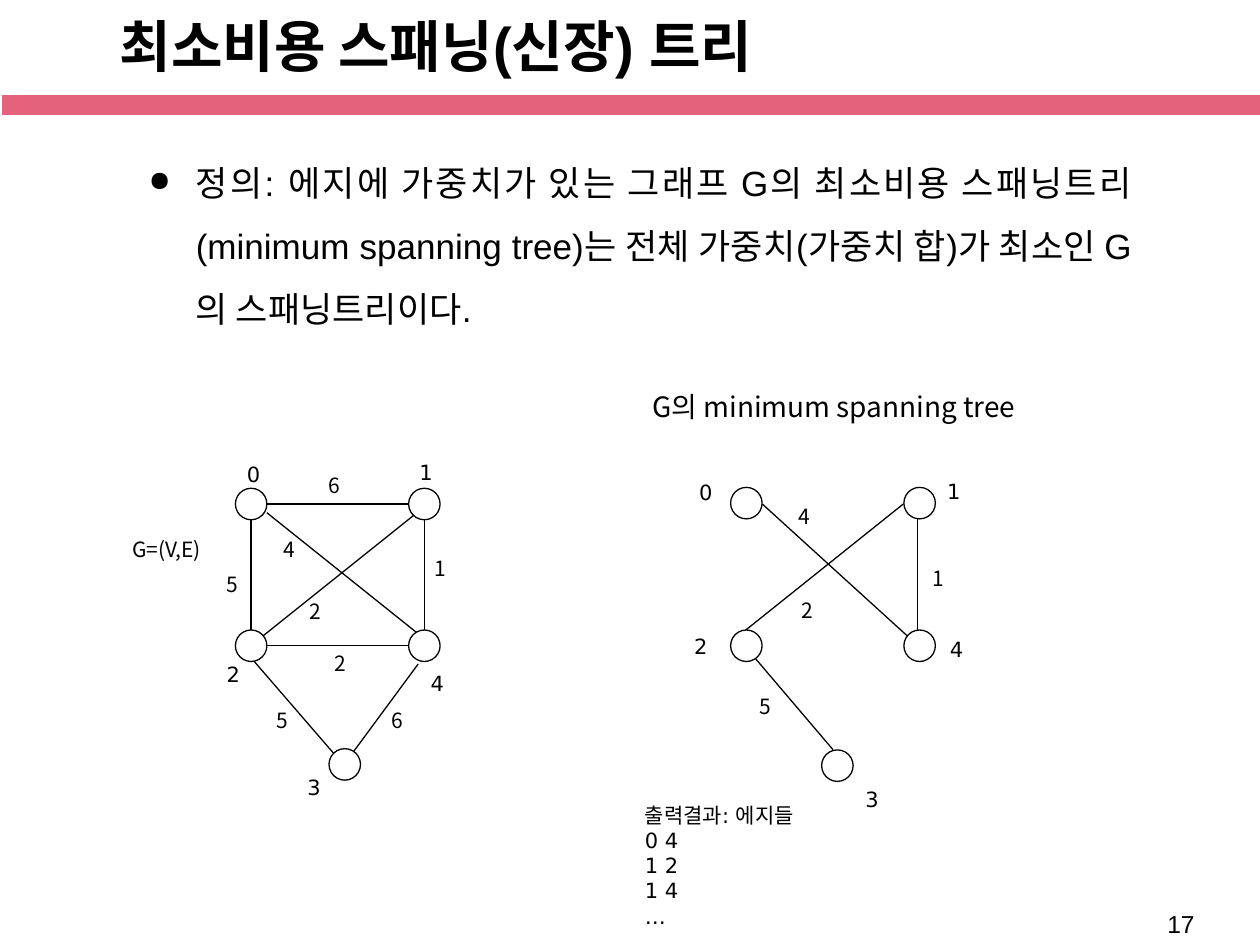
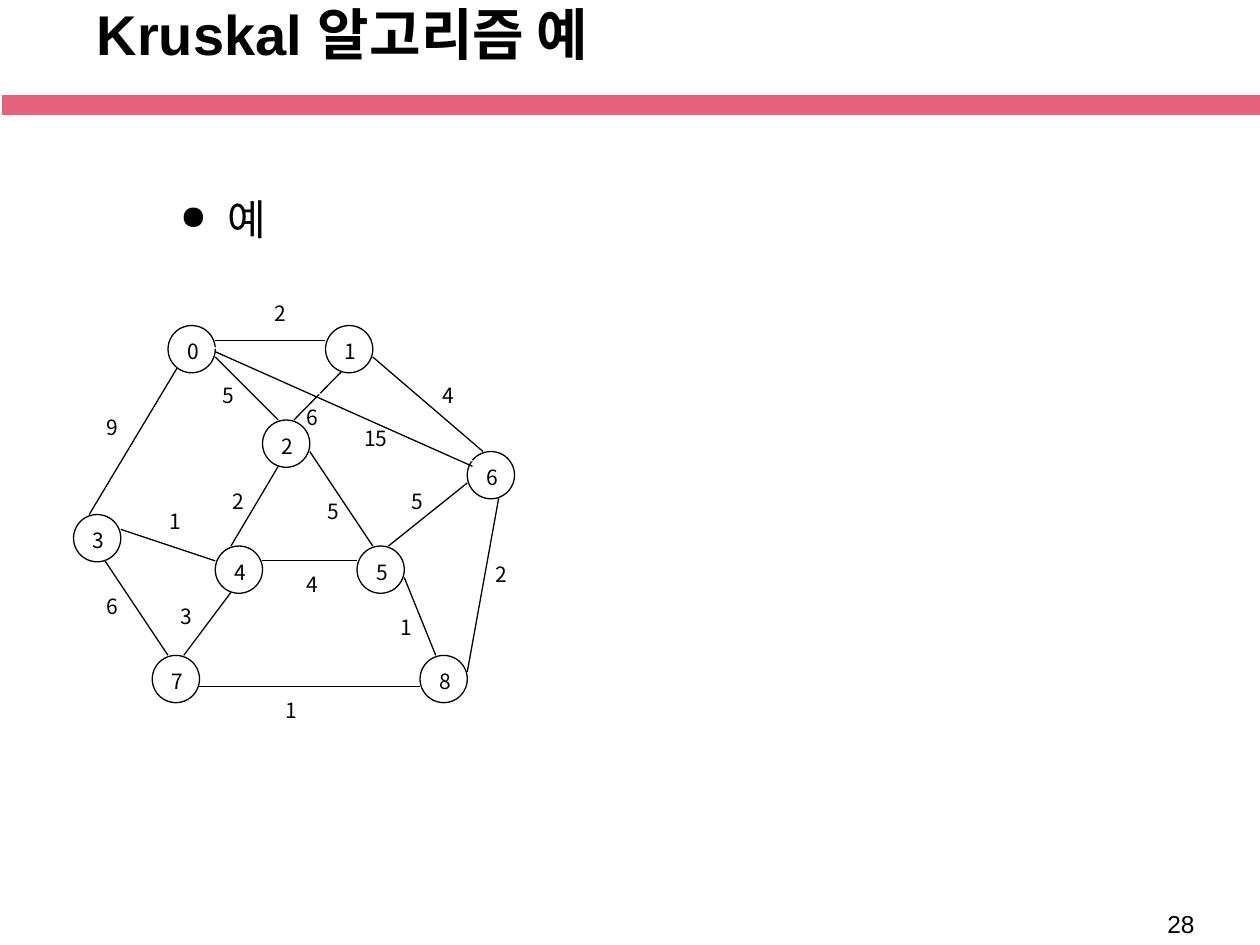
import pptx
import pptx.util
import pptx.dml.color
import pptx.enum.shapes
import pptx.enum.text
import pptx.oxml
import pptx.oxml.ns

Pt = pptx.util.Pt
KINDS = pptx.enum.shapes.MSO_SHAPE
ALIGN = pptx.enum.text.PP_ALIGN
ANCHOR = pptx.enum.text.MSO_ANCHOR

COLORS = {"band": "E4627B", "ink": "000000", "paper": "FFFFFF"}
HANGUL = "Noto Sans CJK KR"
DIGITS = "DejaVu Sans"

# Edges: x1, y1, x2, y2, weight, weight left, weight top
GRAPH = [
    (152.5, 288, 233.5, 288, "6", 180.7, 266.4),
    (143.5, 297, 143.5, 360, "5", 122.4, 323.3),
    (152.5, 369, 233.5, 369, "2", 184.3, 368),
    (242.5, 297, 242.5, 360, "1", 241.2, 314),
    (238.3, 293, 148.3, 365, "2", 170, 338.4),
    (152.5, 293, 242.5, 365, "4", 154.8, 303),
    (144, 376.5, 193.7, 434, "5", 151.2, 401),
    (239, 379.4, 196.5, 437, "6", 216.7, 401),
]
TREE = [
    (435.6, 288, 524.2, 368.6, "4", 449.3, 284.4),
    (524.2, 295.2, 524.2, 368.6, "1", 525.6, 319.7),
    (516.2, 288, 426.2, 360, "2", 450.7, 337.7),
    (427, 370.8, 476, 428.4, "5", 427, 393),
]
KRUSKAL = [
    (123, 194.5, 186, 194.5, "2", 150, 168),
    (105, 204, 51, 294, "9", 54, 233.3),
    (69, 302.5, 123, 320.5, "1", 90, 287.3),
    (159, 266.5, 132, 312, "2", 126, 275.8),
    (177, 258, 213, 312, "5", 180, 281.5),
    (123, 204, 159, 240, "5", 120, 215.3),
    (195, 212.5, 168, 240, "6", 168, 227.5),
    (267, 276, 222, 312, "5", 228, 275.8),
    (213, 204, 276, 258, "4", 246, 215.3),
    (60, 320.5, 96, 374.5, "6", 54, 335.5),
    (132, 338.5, 105, 374.5, "3", 96, 341.3),
    (114, 392.5, 240, 392.5, "1", 156, 395.3),
    (150, 320.5, 204, 320.5, "4", 168, 323.3),
    (231, 330, 249, 374.5, "1", 222, 347.8),
    (285, 284.5, 267, 384, "2", 276, 317.5),
]

# Nodes: name, left, top, then the left and top of a name set outside
GRAPH_NODES = [
    ("0", 134.5, 279, 134, 260),
    ("1", 233.5, 279, 232.6, 259.2),
    ("2", 134.5, 360, 122.4, 374.4),
    ("3", 188, 427.8, 168.5, 439.2),
    ("4", 233.5, 360, 239, 379.4),
]
TREE_NODES = [
    ("0", 417.5, 278.5, 392.4, 270.7),
    ("1", 516.5, 278.5, 534.2, 270),
    ("2", 417.5, 360, 389.5, 358.6),
    ("3", 469.5, 428.5, 487.4, 445.7),
    ("4", 516.5, 360, 535.7, 360),
]
KRUSKAL_NODES = [
    ("0", 96, 186), ("1", 186, 186), ("2", 150, 240),
    ("3", 42, 294), ("4", 123, 312), ("5", 204, 312),
    ("6", 267, 258), ("7", 87, 374.5), ("8", 240, 374.5),
]


def rgb(name):
    """Return the named colour."""
    return pptx.dml.color.RGBColor.from_string(COLORS[name])


def bullet(para):
    """Give a paragraph a hanging round bullet."""
    props = para._p.get_or_add_pPr()
    props.set("marL", str(Pt(27)))
    props.set("indent", str(Pt(-27)))
    space = pptx.oxml.ns.nsdecls("a")
    for xml in (
        f'<a:buClr {space}><a:srgbClr val="{COLORS["ink"]}"/></a:buClr>',
        f'<a:buSzPct {space} val="80000"/>',
        f'<a:buChar {space} char="●"/>',
    ):
        props.append(pptx.oxml.parse_xml(xml))


def write(shape, text, size=12, font=HANGUL, bold=False, align=ALIGN.LEFT,
          anchor=ANCHOR.TOP, wrap=True, dot=False, lead=None):
    """Fill a shape with formatted text, one paragraph a line."""
    frame = shape.text_frame
    frame.word_wrap = wrap
    frame.vertical_anchor = anchor
    frame.text = text
    for para in frame.paragraphs:
        if dot:
            bullet(para)
        para.alignment = align
        if lead:
            para.line_spacing = lead
        for run in para.runs:
            run.font.size = Pt(size)
            run.font.name = font
            run.font.bold = bold
            run.font.color.rgb = rgb("ink")
            props = run.font._element
            east = props.makeelement(pptx.oxml.ns.qn("a:ea"), {"typeface": HANGUL})
            props.find(pptx.oxml.ns.qn("a:latin")).addnext(east)


def label(slide, text, left, top, width=21.6, height=21.6, **form):
    """Add a text box."""
    box = slide.shapes.add_textbox(Pt(left), Pt(top), Pt(width), Pt(height))
    write(box, text, **form)


def solid(slide, kind, left, top, width, height, fill, edge, weight):
    """Add a filled and outlined shape."""
    shape = slide.shapes.add_shape(kind, Pt(left), Pt(top), Pt(width), Pt(height))
    shape.shadow.inherit = False
    shape.fill.solid()
    shape.fill.fore_color.rgb = rgb(fill)
    shape.line.color.rgb = rgb(edge)
    shape.line.width = Pt(weight)
    return shape


def node(slide, left, top, size):
    """Add a round graph node."""
    return solid(slide, KINDS.OVAL, left, top, size, size, "paper", "ink", 0.75)


def link(slide, x1, y1, x2, y2, color="ink"):
    """Add a straight line."""
    line = slide.shapes.add_connector(
        pptx.enum.shapes.MSO_CONNECTOR.STRAIGHT, Pt(x1), Pt(y1), Pt(x2), Pt(y2))
    line.line.color.rgb = rgb(color)
    line.line.width = Pt(0.75)
    props = line._element.spPr
    props.append(props.makeelement(pptx.oxml.ns.qn("a:effectLst"), {}))


def edges(slide, rows):
    """Draw weighted edges."""
    for x1, y1, x2, y2, weight, left, top in rows:
        link(slide, x1, y1, x2, y2)
        label(slide, weight, left, top, wrap=False)


def graph(slide, rows, nodes):
    """Draw a graph whose node names stand outside."""
    edges(slide, rows)
    for name, left, top, x, y in nodes:
        node(slide, left, top, 18)
        label(slide, name, x, y, 25.2, font=DIGITS)


def page(deck, title, left, top, number):
    """Add a slide with its band, title and page number."""
    slide = deck.slides.add_slide(deck.slide_layouts[6])
    solid(slide, KINDS.RECTANGLE, 0.5, 54, 720, 12, "band", "paper", 1)
    label(slide, number, 660, 516, 41, 24, size=14, font="Arial")
    label(slide, title, left, top, 613.5, 49, size=32, font="Arial",
          bold=True, anchor=ANCHOR.MIDDLE)
    return slide


def define(deck):
    """Build the slide that defines the minimum spanning tree."""
    slide = page(deck, "최소비용 스패닝(신장) 트리", 61.2, 1.4, "17")
    label(slide, "정의: 에지에 가중치가 있는 그래프 G의 최소비용 스패닝트리"
          "(minimum spanning tree)는 전체 가중치(가중치 합)가 "
          "최소인 G의 스패닝트리이다.", 77.8, 77, 576, 124.6, size=20,
          font="Arial", align=ALIGN.JUSTIFY, dot=True, lead=1.5)
    label(slide, "G의 minimum spanning tree", 365.8, 219, 275.8, 26.6, size=16)
    label(slide, "G=(V,E)", 68.4, 303, 59, wrap=False)
    graph(slide, GRAPH, GRAPH_NODES)
    graph(slide, TREE, TREE_NODES)
    label(slide, "출력결과: 에지들\n0 4\n1 2\n1 4\n…", 361.4, 455, 243.4, 80,
          font=DIGITS)


def example(deck):
    """Build the slide with the Kruskal example graph."""
    slide = page(deck, "Kruskal 알고리즘 예", 48.2, -5.8, "28")
    label(slide, "예", 95.8, 107.3, 576, 36, size=24, align=ALIGN.JUSTIFY, dot=True)
    edges(slide, KRUSKAL)
    for name, left, top in KRUSKAL_NODES:
        write(node(slide, left, top, 27), name, align=ALIGN.JUSTIFY)
    link(slide, 120, 197.5, 270, 263.5, "paper")
    label(slide, "15", 201, 239.8, 33)
    link(slide, 123, 201, 270, 266.5)


def main():
    """Build and save the deck."""
    deck = pptx.Presentation()
    deck.slide_width, deck.slide_height = Pt(720), Pt(540)
    define(deck)
    example(deck)
    deck.save("out.pptx")


if __name__ == "__main__":
    main()
